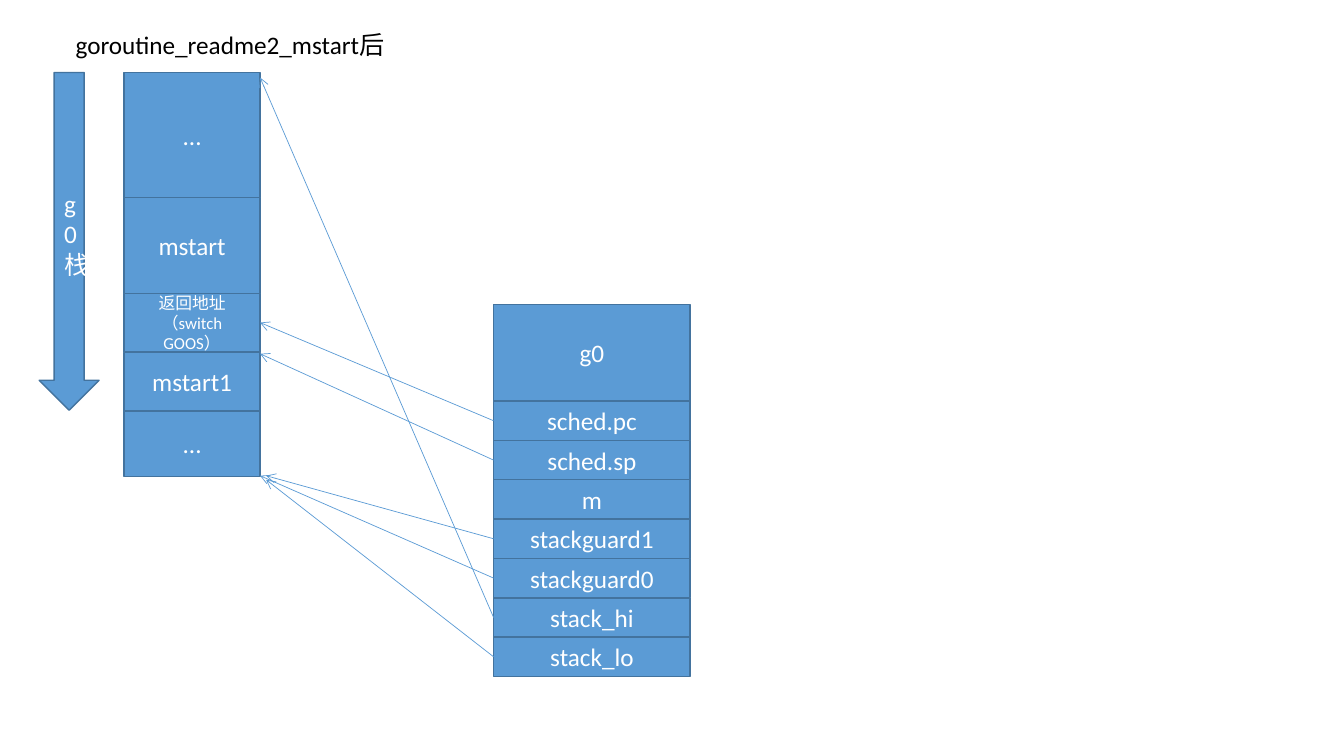
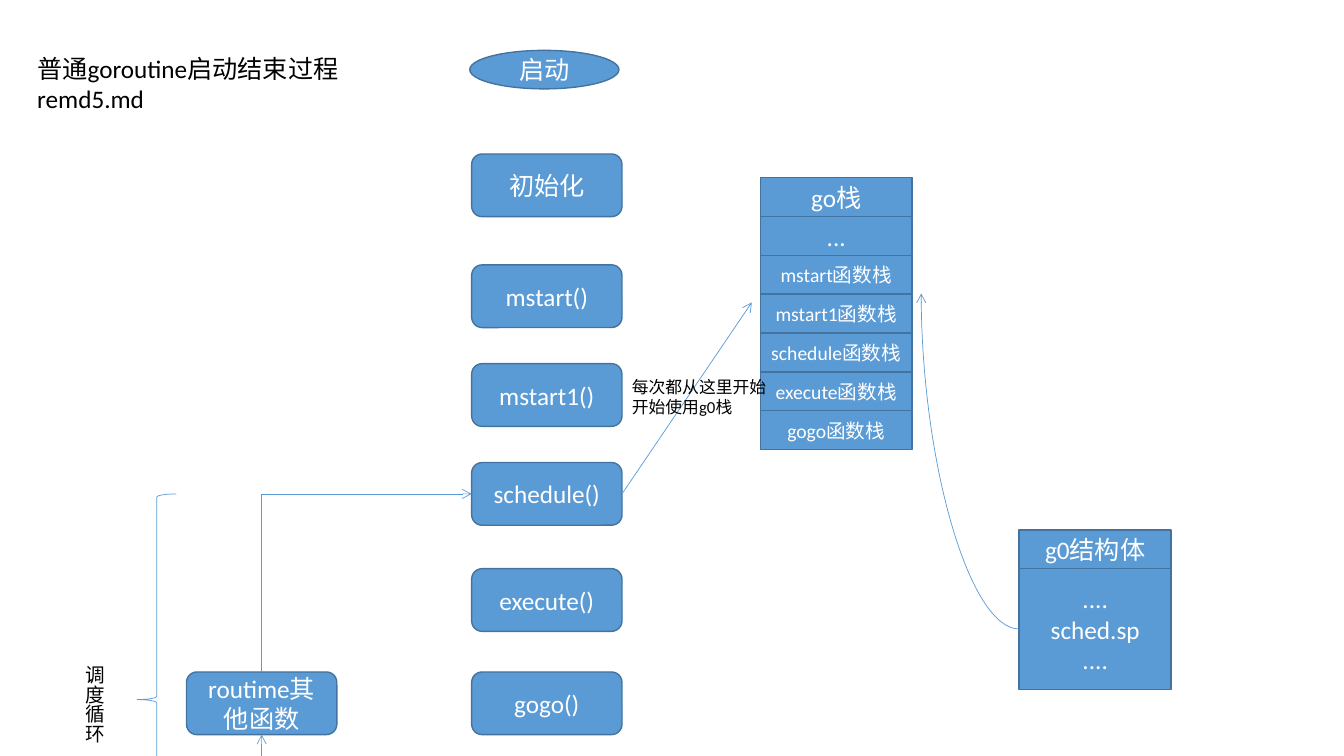
from lxml.etree import SubElement
from pptx import Presentation
from pptx.dml.color import RGBColor
from pptx.enum.shapes import MSO_CONNECTOR, MSO_SHAPE
from pptx.enum.text import MSO_ANCHOR, MSO_AUTO_SIZE, PP_ALIGN
from pptx.oxml.ns import qn
from pptx.util import Pt

COLORS = {"fill": "5B9BD5", "border": "43739E", "light": "FFFFFF", "dark": "000000"}
FONT = "Calibri"
BOX_FRAME = {"word_wrap": True, "vertical_anchor": MSO_ANCHOR.MIDDLE}
TITLE_FRAME = {"word_wrap": True, "vertical_anchor": MSO_ANCHOR.TOP, "auto_size": MSO_AUTO_SIZE.NONE}
LABEL_FRAME = {"word_wrap": False, "auto_size": MSO_AUTO_SIZE.SHAPE_TO_FIT_TEXT}


def color(name):
    return RGBColor.from_string(COLORS[name])


def apply(target, values):
    for name, value in values.items():
        setattr(target, name, value)


def points(values):
    return [Pt(value) for value in values]


def write(shape, text, size, text_color, alignment, frame_format):
    frame = shape.text_frame
    frame.text = text
    apply(frame, frame_format)
    for paragraph in frame.paragraphs:
        paragraph.alignment = alignment
        for run in paragraph.runs:
            apply(run.font, {"name": FONT, "size": Pt(size)})
            run.font.color.rgb = color(text_color)


def style_line(shape, line_color, width):
    shape.line.color.rgb = color(line_color)
    shape.line.width = Pt(width)


def add_title(slide, box, text):
    title = slide.shapes.title
    apply(title, dict(zip(("left", "top", "width", "height"), points(box))))
    write(title, text, 18, "dark", PP_ALIGN.LEFT, TITLE_FRAME)


def add_label(slide, box, text, size):
    label = slide.shapes.add_textbox(*points(box))
    write(label, text, size, "dark", PP_ALIGN.LEFT, LABEL_FRAME)
    return label


def add_block(slide, kind, box, text, size=18):
    block = slide.shapes.add_shape(kind, *points(box))
    block.shadow.inherit = False
    block.fill.solid()
    block.fill.fore_color.rgb = color("fill")
    style_line(block, "border", 1)
    write(block, text, size, "light", PP_ALIGN.CENTER, BOX_FRAME)


def add_stack(slide, left, top, width, rows):
    middles = {}
    for text, height, size in rows:
        add_block(slide, MSO_SHAPE.RECTANGLE, (left, top, width, height), text, size)
        middles[text] = top + height / 2
        top += height
    return middles


def add_arrow(slide, start, end):
    arrow = slide.shapes.add_connector(MSO_CONNECTOR.STRAIGHT, *points(start + end))
    style_line(arrow, "fill", 0.5)
    properties = arrow.element.spPr
    SubElement(properties.find(qn("a:ln")), qn("a:tailEnd"), type="arrow")
    SubElement(properties, qn("a:effectLst"))
    return arrow


def add_turning_arrow(slide, start, end, preset, rotation):
    center_x, center_y = (start[0] + end[0]) / 2, (start[1] + end[1]) / 2
    half_width, half_height = abs(end[0] - start[0]) / 2, abs(end[1] - start[1]) / 2
    if rotation == 270:
        half_width, half_height = half_height, half_width
    arrow = add_arrow(slide, (center_x - half_width, center_y - half_height),
                      (center_x + half_width, center_y + half_height))
    properties = arrow.element.spPr
    properties.find(qn("a:xfrm")).set("rot", str(rotation * 60000))
    properties.find(qn("a:prstGeom")).set("prst", preset)


def build_stack_slide(slide):
    add_title(slide, (46.8, 17.3, 249, 29), "goroutine_readme2_mstart后")
    add_block(slide, MSO_SHAPE.DOWN_ARROW, (28, 51.8, 42.8, 241.2), "g0栈")
    left, top, width = 88.6, 51.8, 97.2
    add_stack(slide, left, top, width, [
        ("...", 89.2, 18), ("mstart", 68.6, 18), ("返回地址（switch GOOS）", 42, 12),
        ("mstart1", 42, 18), ("...", 47, 18)])
    fields = ("sched.pc", "sched.sp", "m", "stackguard1", "stackguard0", "stack_hi", "stack_lo")
    field_left = 352.6
    middles = add_stack(slide, field_left, 217.5, 140.4,
                        [("g0", 69, 18)] + [(field, 28.1, 18) for field in fields])
    right = left + width
    targets = {"stack_hi": (right, 55.4), "stackguard0": (right, 339.8),
               "stackguard1": (right + 4.3, 339.8), "stack_lo": (right + 4.3, 342.7),
               "sched.pc": (right, 230.4), "sched.sp": (right, 252.7)}
    for field, target in targets.items():
        add_arrow(slide, (field_left, middles[field]), target)


def add_calls(slide, left, width, height, calls):
    for text, top in calls.items():
        add_block(slide, MSO_SHAPE.ROUNDED_RECTANGLE, (left, top, width, height), text)


def add_cycle(slide, call_left, box):
    left, top, width, height = box
    center = left + width / 2
    add_calls(slide, left, width, height, {"routime其他函数": top})
    add_turning_arrow(slide, (335.5, 645.8), (center, top + height), "bentConnector2", 180)
    add_turning_arrow(slide, (center, top), (call_left, 352.8), "bentConnector2", 270)
    brace = slide.shapes.add_shape(MSO_SHAPE.LEFT_BRACE, *points((97.9, 352.8, 28.1, 293.8)))
    brace.shadow.inherit = False
    brace.fill.background()
    style_line(brace, "fill", 0.5)
    label = add_label(slide, (48.2, 468, 31.7, 63.4), "调度循环", 14)
    label.text_frame._txBody.bodyPr.set("vert", "eaVert")


def build_flow_slide(slide):
    add_title(slide, (19.4, 34.6, 317.5, 50), "普通goroutine启动结束过程\vremd5.md")
    add_block(slide, MSO_SHAPE.OVAL, (335.5, 36, 106.6, 27.5), "启动")
    left, width, height = 336.9, 107.4, 44.8
    add_calls(slide, left, width, height, {
        "初始化": 110, "mstart()": 189.2, "mstart1()": 259.8,
        "schedule()": 330.4, "execute()": 406.2, "gogo()": 480})
    functions = ("mstart", "mstart1", "schedule", "execute", "gogo")
    add_stack(slide, 543, 126.9, 108.6,
              [("go栈", 27.75, 18), ("...", 27.75, 18)]
              + [(f"{function}函数栈", 27.75, 14) for function in functions])
    struct_left, fields = 728, "....\nsched.sp\n...."
    middles = add_stack(slide, struct_left, 378.6, 108.6, [("g0结构体", 27.6, 18), (fields, 86.2, 18)])
    add_turning_arrow(slide, (struct_left, middles[fields]), (658, 209.6), "curvedConnector2", 180)
    add_arrow(slide, (left + width, 352.8), (537, 216))
    add_label(slide, (444.3, 265.7, 110.2, 36), "每次都从这里开始\n开始使用g0栈", 12)
    add_cycle(slide, left, (133.2, 480, width, height))


presentation = Presentation()
apply(presentation, {"slide_width": Pt(960), "slide_height": Pt(540)})
for build in (build_stack_slide, build_flow_slide):
    build(presentation.slides.add_slide(presentation.slide_layouts[5]))
presentation.save("out.pptx")
